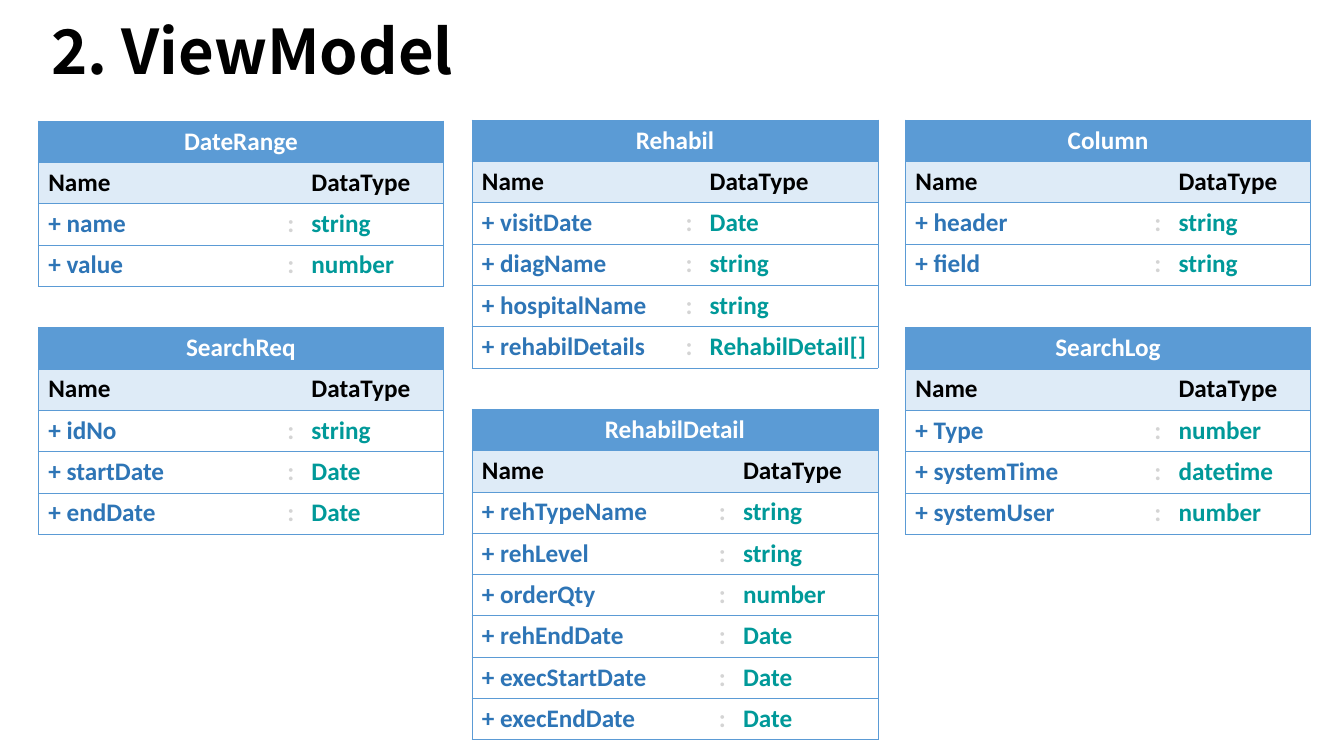
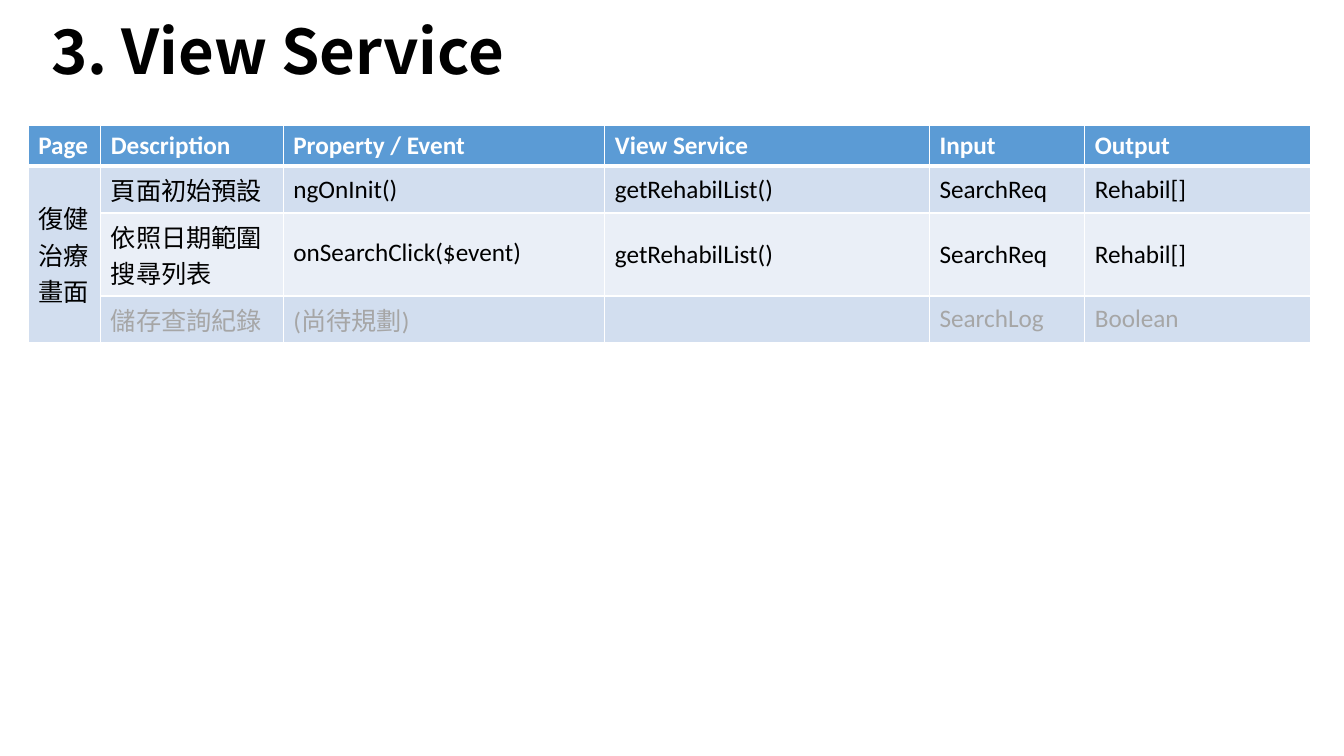
from lxml.etree import SubElement
from pptx import Presentation
from pptx.dml.color import RGBColor
from pptx.enum.text import MSO_ANCHOR, MSO_AUTO_SIZE, PP_ALIGN
from pptx.oxml.ns import qn
from pptx.util import Inches, Pt

WHITE = RGBColor(0xFF, 0xFF, 0xFF)
BLACK = RGBColor(0x00, 0x00, 0x00)
BLUE = RGBColor(0x5B, 0x9B, 0xD5)
DARK_BLUE = RGBColor(0x2E, 0x75, 0xB6)
PALE_BLUE = RGBColor(0xDE, 0xEB, 0xF7)
BAND_DARK = RGBColor(0xD2, 0xDE, 0xEF)
BAND_LIGHT = RGBColor(0xEA, 0xEF, 0xF7)
TEAL = RGBColor(0x00, 0x99, 0x99)
LIGHT_GRAY = RGBColor(0xD4, 0xD4, 0xD4)
GRAY = RGBColor(0xA6, 0xA6, 0xA6)

LATIN_FONT = "Calibri"
ASIAN_FONT = "Noto Sans CJK SC"
ROW_HEIGHT = 0.41
COLUMN_LEFTS = [0.38 + 4.3 * index for index in range(3)]
NARROW_TYPE = (2.37, 0.24, 1.41)

VIEW_MODELS = [
    ("DateRange", 0, 1.2, NARROW_TYPE, [("name", "string"), ("value", "number")]),
    ("SearchReq", 0, 3.25, NARROW_TYPE,
     [("idNo", "string"), ("startDate", "Date"), ("endDate", "Date")]),
    ("Rehabil", 1, 1.19, (2.02, 0.23, 1.77),
     [("visitDate", "Date"), ("diagName", "string"), ("hospitalName", "string"),
      ("rehabilDetails", "RehabilDetail[]")]),
    ("RehabilDetail", 1, 4.06, (2.35, 0.23, 1.44),
     [("rehTypeName", "string"), ("rehLevel", "string"), ("orderQty", "number"),
      ("rehEndDate", "Date"), ("execStartDate", "Date"), ("execEndDate", "Date")]),
    ("Column", 2, 1.19, NARROW_TYPE, [("header", "string"), ("field", "string")]),
    ("SearchLog", 2, 3.25, NARROW_TYPE,
     [("Type", "number"), ("systemTime", "datetime"), ("systemUser", "number")]),
]

SERVICE_ROWS = [
    ("Page", "Description", "Property / Event", "View Service", "Input", "Output"),
    ("復健治療畫面", "頁面初始預設", "ngOnInit()", "getRehabilList()", "SearchReq", "Rehabil[]"),
    ("", "依照日期範圍搜尋列表", "onSearchClick($event)", "getRehabilList()", "SearchReq", "Rehabil[]"),
    ("", "儲存查詢紀錄", "(尚待規劃)", "", "SearchLog", "Boolean"),
]


class Deck:
    def __init__(self):
        self.presentation = Presentation()
        self.presentation.slide_width = Inches(13.33)
        self.presentation.slide_height = Inches(7.5)
        self.slide = None

    def add_slide(self, title):
        self.slide = self.presentation.slides.add_slide(self.presentation.slide_layouts[5])
        shape = self.slide.shapes.title
        shape.left, shape.top = Inches(0.41), Inches(-0.1)
        shape.width, shape.height = Inches(9.3), Inches(1.28)
        text_frame = shape.text_frame
        text_frame.text = title
        text_frame.auto_size = MSO_AUTO_SIZE.NONE
        text_frame.vertical_anchor = MSO_ANCHOR.MIDDLE
        paragraph = text_frame.paragraphs[0]
        paragraph.alignment = PP_ALIGN.LEFT
        paragraph.line_spacing = 0.9
        self.format_runs(paragraph, 44, BLACK, True, ASIAN_FONT)

    def format_runs(self, paragraph, size, color, bold, latin_font=LATIN_FONT):
        for run in paragraph.runs:
            run.font.size = Pt(size)
            run.font.bold = bold
            run.font.color.rgb = color
            run.font.name = latin_font
            latin = run.font._element.find(qn("a:latin"))
            asian = latin.makeelement(qn("a:ea"), {"typeface": ASIAN_FONT})
            latin.addnext(asian)

    def add_table(self, left, top, widths, heights):
        frame = self.slide.shapes.add_table(
            len(heights), len(widths), Inches(left), Inches(top),
            Inches(sum(widths)), Inches(sum(heights)))
        table = frame.table
        for column, width in zip(table.columns, widths):
            column.width = Inches(width)
        for row, height in zip(table.rows, heights):
            row.height = Inches(height)
        return table

    def fill_cell(self, cell, text, color, fill, bold):
        cell.text_frame.text = text
        self.format_runs(cell.text_frame.paragraphs[0], 18, color, bold)
        if fill is None:
            cell.fill.background()
        else:
            cell.fill.solid()
            cell.fill.fore_color.rgb = fill

    def set_borders(self, cell, color, widths):
        properties = cell._tc.get_or_add_tcPr()
        for index, (side, width) in enumerate(zip("LRTB", widths)):
            line = properties.makeelement(qn(f"a:ln{side}"), {"w": str(Pt(width))})
            if width:
                solid_fill = SubElement(line, qn("a:solidFill"))
                SubElement(solid_fill, qn("a:srgbClr"), val=str(color))
            else:
                SubElement(line, qn("a:noFill"))
            properties.insert(index, line)

    def add_view_model(self, name, column, top, widths, fields):
        rows = [(name, "", ""), ("Name", "", "DataType")]
        rows += [(f"+ {field}", ":", data_type) for field, data_type in fields]
        table = self.add_table(COLUMN_LEFTS[column], top, widths, [ROW_HEIGHT] * len(rows))
        table.cell(0, 0).merge(table.cell(0, 2))
        styles = [((WHITE,) * 3, BLUE), ((BLACK,) * 3, PALE_BLUE)]
        styles += [((DARK_BLUE, LIGHT_GRAY, TEAL), None)] * len(fields)
        for row_index, (texts, (colors, fill)) in enumerate(zip(rows, styles)):
            for column_index, (text, color) in enumerate(zip(texts, colors)):
                cell = table.cell(row_index, column_index)
                self.fill_cell(cell, text, color, fill, True)
                left = 0.5 if row_index == 0 or column_index == 0 else 0
                right = 0.5 if row_index == 0 or column_index == 2 else 0
                self.set_borders(cell, BLUE, (left, right, 0.5, 0.5))
        table.cell(0, 0).text_frame.paragraphs[0].alignment = PP_ALIGN.CENTER

    def add_service_table(self, rows):
        table = self.add_table(0.28, 1.24, (0.72, 1.81, 3.19, 3.22, 1.54, 2.24),
                               (ROW_HEIGHT, 0.46, 0.82, 0.46))
        table.cell(1, 0).merge(table.cell(3, 0))
        styles = [(WHITE, BLUE), (BLACK, BAND_DARK), (BLACK, BAND_LIGHT), (GRAY, BAND_DARK)]
        for row_index, (texts, (color, fill)) in enumerate(zip(rows, styles)):
            top = 3 if row_index == 1 else 1
            bottom = 3 if row_index == 0 else 1
            for column_index, text in enumerate(texts):
                cell = table.cell(row_index, column_index)
                self.fill_cell(cell, text, color, fill, row_index == 0)
                cell.vertical_anchor = MSO_ANCHOR.MIDDLE
                self.set_borders(cell, WHITE, (1, 1, top, bottom))
        table.cell(2, 2).text_frame.paragraphs[0].line_spacing = Pt(20)


def main():
    deck = Deck()
    deck.add_slide("2. ViewModel")
    for view_model in VIEW_MODELS:
        deck.add_view_model(*view_model)
    deck.add_slide("3. View Service")
    deck.add_service_table(SERVICE_ROWS)
    deck.presentation.save("out.pptx")


if __name__ == "__main__":
    main()
